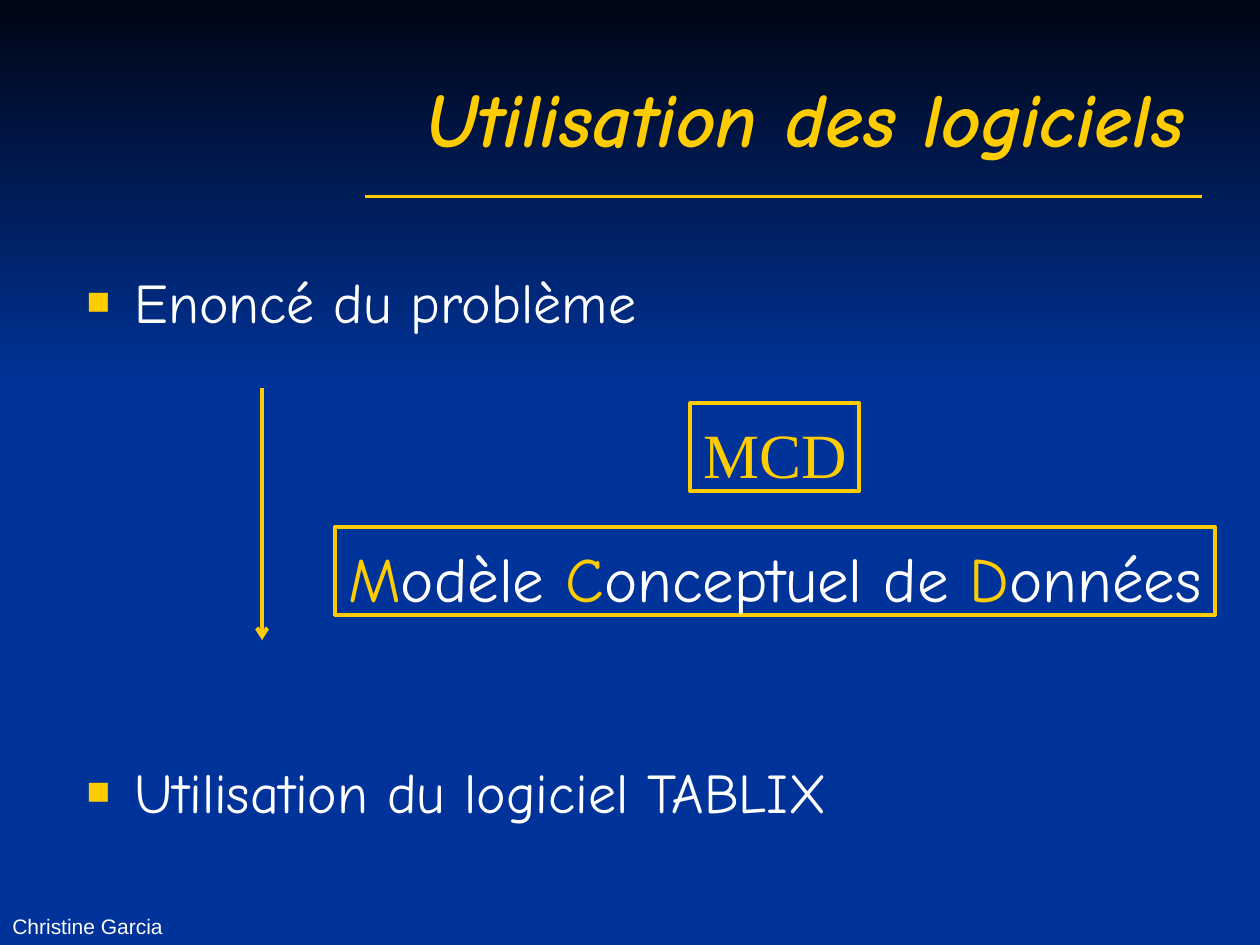
from dataclasses import dataclass

import pptx
import pptx.dml.color
import pptx.enum.shapes
import pptx.enum.text
import pptx.oxml
import pptx.oxml.ns
import pptx.util
from pptx.util import Inches

RGB = pptx.dml.color.RGBColor.from_string
ALIGN = pptx.enum.text.PP_ALIGN
ANCHOR = pptx.enum.text.MSO_ANCHOR
RECT = pptx.enum.shapes.MSO_SHAPE.RECTANGLE


@dataclass(frozen=True)
class Theme:
    night: str = "000514"
    blue: str = "003399"
    gold: str = "FFCC00"
    white: str = "FFFFFF"
    hand: str = "Comic Neue"
    serif: str = "Times New Roman"
    sans: str = "Arial"
    title: float = 44
    body: float = 32
    label: float = 36
    footer: float = 12
    rule: float = 2
    outline: float = 2.25


THEME = Theme()


@dataclass(frozen=True)
class Box:
    left: float
    top: float
    width: float
    height: float

    def emu(self) -> tuple:
        return tuple(Inches(v) for v in (self.left, self.top, self.width, self.height))


@dataclass(frozen=True)
class Label:
    box: Box
    font: str
    runs: tuple  # (text, colour) pairs


@dataclass(frozen=True)
class Bullet:
    text: str
    space_before: float


@dataclass(frozen=True)
class Line:
    start: tuple
    end: tuple
    width: float
    arrow: bool = False


LABELS = (
    Label(Box(5.48, 3.2, 1.34, 0.7), THEME.serif, (("MCD", THEME.gold),)),
    Label(Box(2.66, 4.18, 6.98, 0.7), THEME.hand, (
        ("M", THEME.gold), ("odèle ", THEME.white),
        ("C", THEME.gold), ("onceptuel de ", THEME.white),
        ("D", THEME.gold), ("onnées", THEME.white))),
)
BULLETS = (Bullet("Enoncé du problème", 0),
           Bullet("Utilisation du logiciel TABLIX", 242))
LINES = (Line((2.9, 1.56), (9.54, 1.56), THEME.rule),
         Line((2.08, 3.08), (2.08, 5.08), THEME.outline, arrow=True))


def add_xml(parent, tag: str, **attrs: str):
    el = pptx.oxml.parse_xml(f'<{tag} {pptx.oxml.ns.nsdecls("a")}/>')
    for name, value in attrs.items():
        el.set(name, value)
    parent.append(el)
    return el


def add_run(p, text: str, font: str, size: float, color: str):
    r = p.add_run()
    r.text = text
    r.font.name = font
    r.font.size = pptx.util.Pt(size)
    r.font.color.rgb = RGB(color)
    return r


def add_text_box(s, box: Box, anchor=ANCHOR.TOP):
    tf = s.shapes.add_textbox(*box.emu()).text_frame
    tf.word_wrap = True
    tf.vertical_anchor = anchor
    return tf


def add_sky(s) -> None:
    """Blue background with a dark gradient over the upper part."""
    s.background.fill.solid()
    s.background.fill.fore_color.rgb = RGB(THEME.blue)
    sp = s.shapes.add_shape(RECT, *Box(0, 0, 10, 3.09).emu())
    sp.shadow.inherit = False
    sp.line.fill.background()
    sp.fill.gradient()
    sp.fill.gradient_angle = 270
    for stop, color in zip(sp.fill.gradient_stops, (THEME.night, THEME.blue)):
        stop.color.rgb = RGB(color)


def add_line(s, line: Line) -> None:
    ends = [Inches(v) for v in line.start + line.end]
    c = s.shapes.add_connector(pptx.enum.shapes.MSO_CONNECTOR.STRAIGHT, *ends)
    c.line.color.rgb = RGB(THEME.gold)
    c.line.width = pptx.util.Pt(line.width)
    if line.arrow:
        add_xml(c.line._get_or_add_ln(), "a:tailEnd", type="arrow")
    add_xml(c._element.spPr, "a:effectLst")


def add_label(s, label: Label) -> None:
    sp = s.shapes.add_shape(RECT, *label.box.emu())
    sp.shadow.inherit = False
    sp.fill.background()
    sp.line.color.rgb = RGB(THEME.gold)
    sp.line.width = pptx.util.Pt(THEME.outline)
    tf = sp.text_frame
    tf.word_wrap = False
    tf.vertical_anchor = ANCHOR.TOP
    tf.margin_top = Inches(0.1)
    tf.margin_bottom = 0
    p = tf.paragraphs[0]
    p.alignment = ALIGN.CENTER
    for text, color in label.runs:
        add_run(p, text, label.font, THEME.label, color)


def add_bullets(s, box: Box, bullets: tuple) -> None:
    tf = add_text_box(s, box)
    for i, bullet in enumerate(bullets):
        p = tf.add_paragraph() if i else tf.paragraphs[0]
        pPr = p._p.get_or_add_pPr()
        indent = Inches(0.38)
        pPr.set("marL", str(indent))
        pPr.set("indent", str(-indent))
        add_xml(add_xml(pPr, "a:buClr"), "a:srgbClr", val=THEME.gold)
        add_xml(pPr, "a:buSzPct", val="70000")
        add_xml(pPr, "a:buFont", typeface=THEME.sans)
        add_xml(pPr, "a:buChar", char="■")
        if bullet.space_before:
            p.space_before = pptx.util.Pt(bullet.space_before)
        add_run(p, bullet.text, THEME.hand, THEME.body, THEME.white)


def main() -> None:
    prs = pptx.Presentation()
    prs.slide_width, prs.slide_height = Inches(10), Inches(7.5)
    s = prs.slides.add_slide(prs.slide_layouts[6])
    add_sky(s)

    p = add_text_box(s, Box(0.5, 0.3, 9, 1.25), ANCHOR.MIDDLE).paragraphs[0]
    p.alignment = ALIGN.RIGHT
    r = add_run(p, "Utilisation des logiciels", THEME.hand, THEME.title, THEME.gold)
    r.font.bold = r.font.italic = True

    add_bullets(s, Box(0.59, 2.07, 9, 4.49), BULLETS)
    for label in LABELS:
        add_label(s, label)
    for line in LINES:
        add_line(s, line)

    p = add_text_box(s, Box(0, 6.98, 3.17, 0.52), ANCHOR.BOTTOM).paragraphs[0]
    add_run(p, "Christine Garcia", THEME.sans, THEME.footer, THEME.white)
    prs.save("out.pptx")


if __name__ == "__main__":
    main()
